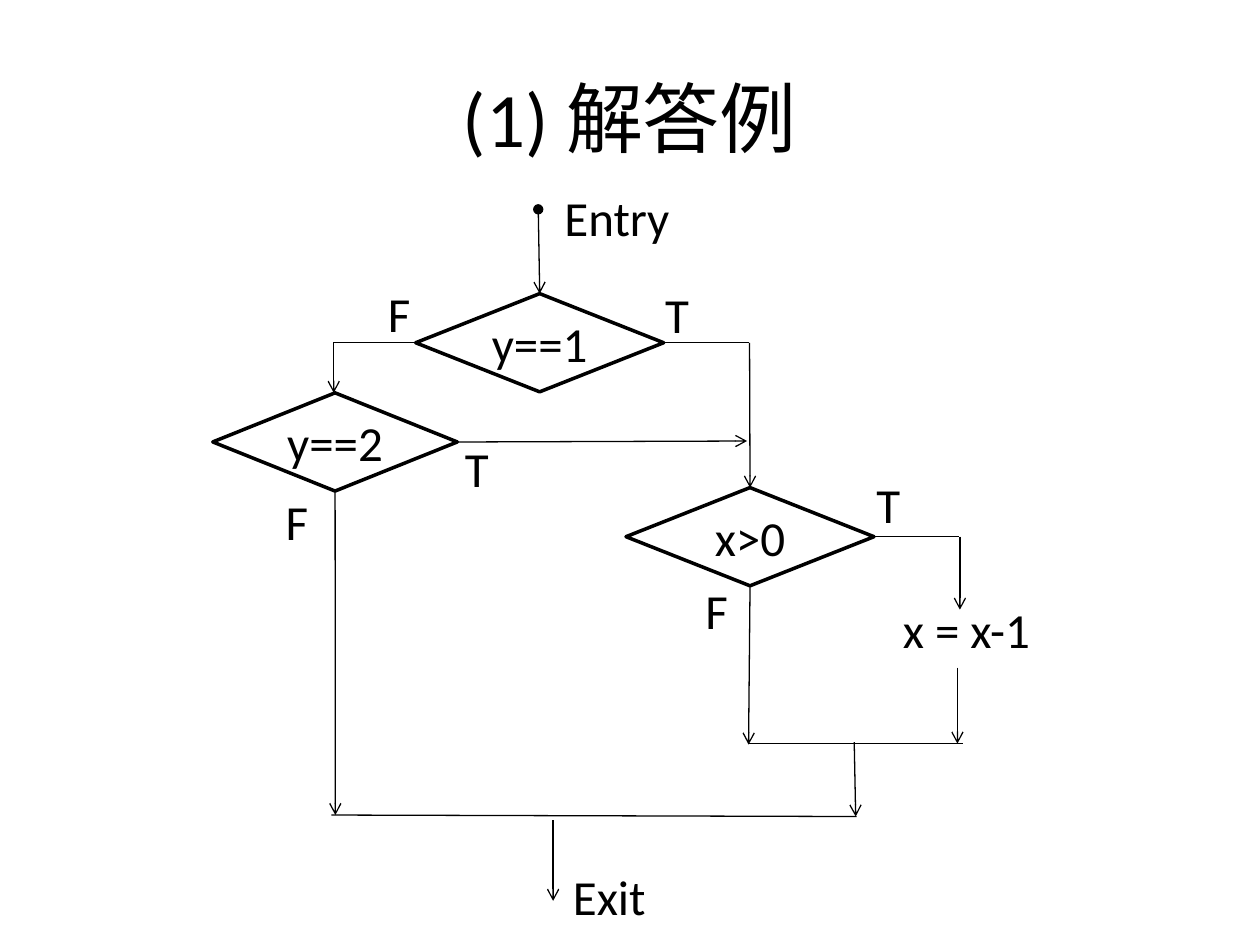
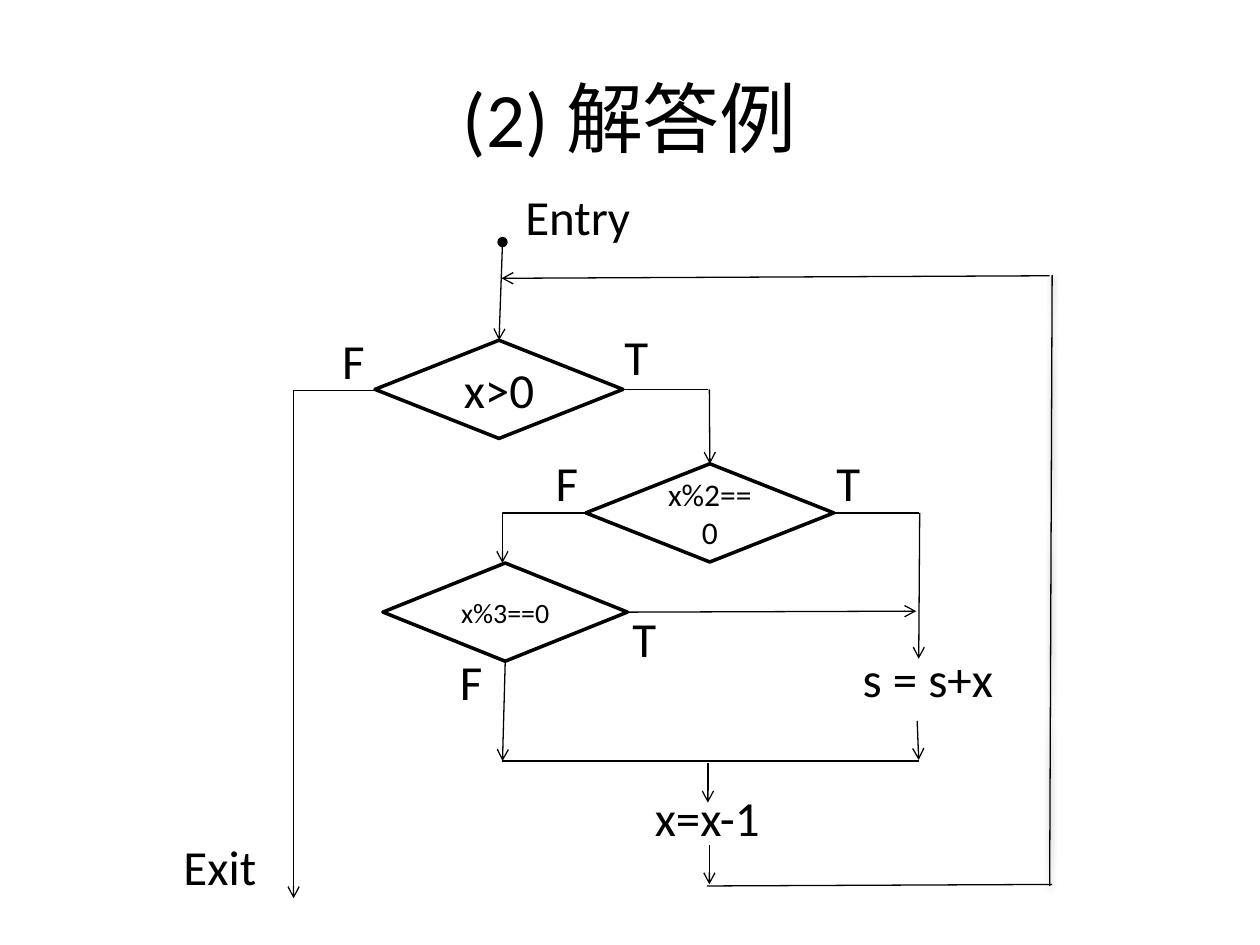
from lxml import etree
from pptx import Presentation
from pptx import util as u
from pptx.dml.color import RGBColor
from pptx.enum import shapes, text
from pptx.oxml.ns import qn

COLORS = {"ink": "000000", "paper": "FFFFFF"}
FONT = "Calibri"
LABEL_WIDTHS = {"Entry": 2.69, "Exit": 2.01, "F": 0.97, "T": 0.99,
                "x = x-1": 3.12, "s = s+x": 3.18, "x=x-1": 2.67}
LABEL_H = 1.45
DIAMOND_H = 1.98
SNAP = 0.08

FLOWCHARTS = [
    {
        "title": "(1) 解答例",
        "diamonds": [
            ("y==1", 8.38, 5.92, 5, 28),
            ("y==2", 4.29, 7.92, 4.93, 28),
            ("x>0", 12.62, 9.83, 5, 28),
        ],
        "labels": [
            ("Entry", 11.13, 3.66), ("Exit", 11.3, 17.35),
            ("F", 7.57, 5.59), ("T", 13.16, 5.61),
            ("F", 5.51, 9.78), ("T", 9.12, 8.71),
            ("F", 13.97, 11.58), ("T", 17.42, 9.45),
            ("x = x-1", 17.95, 11.96),
        ],
        "lines": [
            ("entry", 10.85, 4.22, 10.88, 5.92),
            ("elbow", 8.38, 6.91, 6.73, 7.92),
            ("line", 15.09, 6.91, 13.38, 6.91),
            ("arrow", 15.11, 6.91, 15.12, 9.83),
            ("arrow", 9.22, 8.91, 15.06, 8.89),
            ("arrow", 6.76, 9.9, 6.76, 16.43),
            ("line", 19.33, 10.82, 17.62, 10.82),
            ("arrow", 19.35, 10.82, 19.35, 12.29),
            ("arrow", 19.3, 13.46, 19.3, 14.99),
            ("arrow", 15.12, 11.81, 15.09, 15.01),
            ("line", 15.09, 14.99, 19.41, 14.99),
            ("arrow", 17.22, 14.96, 17.25, 16.46),
            ("line", 6.68, 16.43, 17.27, 16.46),
            ("arrow", 11.15, 16.54, 11.15, 18.16),
        ],
    },
    {
        "title": "(2) 解答例",
        "diamonds": [
            ("x>0", 7.56, 6.86, 5, 28),
            ("x%2==0", 11.81, 9.35, 5, 18),
            ("x%3==0", 7.72, 11.35, 4.93, 16),
        ],
        "labels": [
            ("Entry", 10.34, 3.63), ("Exit", 3.45, 16.74),
            ("F", 6.65, 6.53), ("T", 12.34, 6.45),
            ("F", 10.95, 8.99), ("T", 16.61, 8.99),
            ("F", 9.02, 13), ("T", 12.5, 12.14),
            ("s = s+x", 17.14, 12.95), ("x=x-1", 12.95, 15.75),
        ],
        "lines": [
            ("entry", 10.13, 4.88, 10.06, 6.86),
            ("elbow", 7.54, 7.87, 5.92, 18.11),
            ("line", 14.27, 7.85, 12.56, 7.85),
            ("arrow", 14.3, 7.85, 14.31, 9.35),
            ("elbow", 11.81, 10.34, 10.13, 11.35),
            ("line", 18.52, 10.34, 16.81, 10.34),
            ("arrow", 18.54, 10.34, 18.52, 13.28),
            ("arrow", 12.65, 12.34, 18.47, 12.32),
            ("arrow", 10.19, 13.33, 10.13, 15.34),
            ("arrow", 18.49, 14.53, 18.52, 15.32),
            ("line", 10.11, 15.34, 18.52, 15.34),
            ("arrow", 14.27, 15.39, 14.27, 16.18),
            ("arrow", 14.3, 17.04, 14.3, 17.83),
            ("line", 14.25, 17.86, 21.21, 17.83),
            ("shadowed", 21.16, 17.86, 21.21, 5.54),
            ("arrow", 21.16, 5.56, 10.11, 5.61),
        ],
    },
]


def write(sp, words, size, align):
    tf = sp.text_frame
    tf.text = words
    p = tf.paragraphs[0]
    p.alignment = align
    font = p.runs[0].font
    font.name = FONT
    font.size = u.Pt(size)
    font.color.rgb = RGBColor.from_string(COLORS["ink"])
    return tf


def draw_line(s, kind, x1, y1, x2, y2):
    route = shapes.MSO_CONNECTOR.ELBOW if kind == "elbow" else shapes.MSO_CONNECTOR.STRAIGHT
    c = s.shapes.add_connector(route, u.Cm(x1), u.Cm(y1), u.Cm(x2), u.Cm(y2))
    c.line.color.rgb = RGBColor.from_string(COLORS["ink"])
    c.line.width = u.Pt(0.75)
    spPr = c._element.spPr
    ln = spPr.find(qn("a:ln"))
    if kind == "entry":
        etree.SubElement(ln, qn("a:headEnd"), type="oval")
    if kind in ("entry", "arrow", "elbow"):
        etree.SubElement(ln, qn("a:tailEnd"), type="arrow")
    if kind == "elbow":
        guides = spPr.find(qn("a:prstGeom")).find(qn("a:avLst"))
        etree.SubElement(guides, qn("a:gd"), name="adj1", fmla="val 100000")
    effects = etree.SubElement(spPr, qn("a:effectLst"))
    if kind == "shadowed":
        shadow = etree.SubElement(effects, qn("a:outerShdw"), blurRad="40000",
                                  dist="20000", dir="5400000", rotWithShape="0")
        clr = etree.SubElement(shadow, qn("a:srgbClr"), val=COLORS["ink"])
        etree.SubElement(clr, qn("a:alpha"), val="38000")
    return c


prs = Presentation()
prs.slide_width, prs.slide_height = u.Cm(25.4), u.Cm(19.05)

for chart in FLOWCHARTS:
    s = prs.slides.add_slide(prs.slide_layouts[5])
    s.background.fill.solid()
    s.background.fill.fore_color.rgb = RGBColor.from_string(COLORS["paper"])

    title = s.shapes.title
    title.left, title.top = u.Cm(1.27), u.Cm(0.76)
    title.width, title.height = u.Cm(22.86), u.Cm(3.18)
    tf = write(title, chart["title"], 44, text.PP_ALIGN.CENTER)
    tf.vertical_anchor = text.MSO_ANCHOR.MIDDLE

    corners = []
    for words, x, y, w, size in chart["diamonds"]:
        sp = s.shapes.add_shape(shapes.MSO_SHAPE.DIAMOND, u.Cm(x), u.Cm(y), u.Cm(w), u.Cm(DIAMOND_H))
        sp.shadow.inherit = False
        sp.fill.background()
        sp.line.color.rgb = RGBColor.from_string(COLORS["ink"])
        sp.line.width = u.Pt(2)
        tf = write(sp, words, size, text.PP_ALIGN.CENTER)
        tf.word_wrap = True
        tf.vertical_anchor = text.MSO_ANCHOR.MIDDLE
        mid_x, mid_y = x + w / 2, y + DIAMOND_H / 2
        sites = [(mid_x, y), (x, mid_y), (mid_x, y + DIAMOND_H), (x + w, mid_y)]
        corners += [(sp, i, cx, cy) for i, (cx, cy) in enumerate(sites)]

    for words, x, y in chart["labels"]:
        sp = s.shapes.add_textbox(u.Cm(x), u.Cm(y), u.Cm(LABEL_WIDTHS[words]), u.Cm(LABEL_H))
        tf = write(sp, words, 28, text.PP_ALIGN.LEFT)
        tf.word_wrap = False
        tf.auto_size = text.MSO_AUTO_SIZE.SHAPE_TO_FIT_TEXT

    for kind, x1, y1, x2, y2 in chart["lines"]:
        c = draw_line(s, kind, x1, y1, x2, y2)
        if kind == "elbow":
            continue
        for sp, site, cx, cy in corners:
            if max(abs(x1 - cx), abs(y1 - cy)) < SNAP:
                c.begin_connect(sp, site)
            if max(abs(x2 - cx), abs(y2 - cy)) < SNAP:
                c.end_connect(sp, site)

prs.save("out.pptx")
